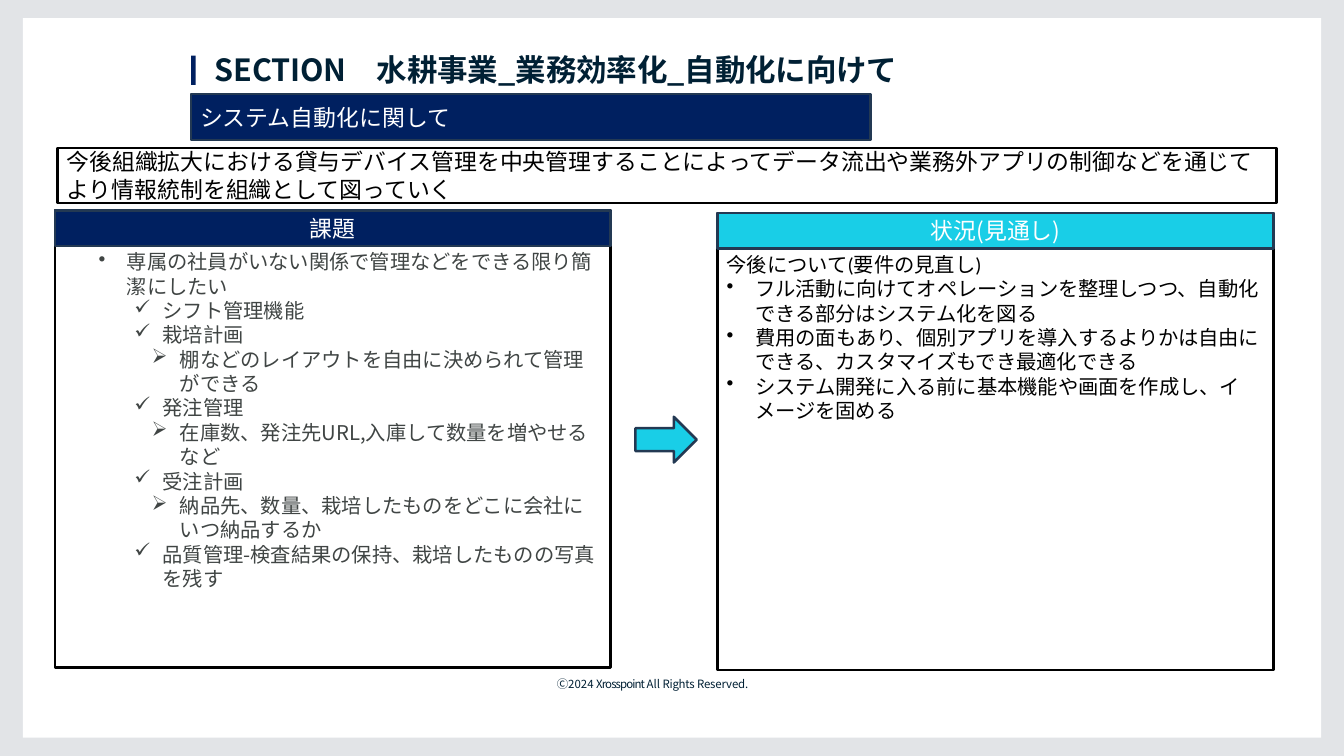
from dataclasses import dataclass
from lxml.etree import SubElement as Sub
from pptx import Presentation
from pptx.dml.color import RGBColor as Rgb
from pptx.enum.shapes import MSO_SHAPE as Form
from pptx.enum.text import MSO_ANCHOR as Anchor, PP_ALIGN as Align
from pptx.oxml.ns import qn
from pptx.util import Inches, Pt

NAVY, CYAN, EDGE, INK = "002060", "19CEE7", "233953", "002034"
BLACK, WHITE, GREY, FRAME = "000000", "FFFFFF", "404544", "E2E4E7"
NOTO, LATIN = "Noto Sans CJK JP", "Calibri"


@dataclass
class Box:
    left: float
    top: float
    width: float
    height: float


@dataclass
class Style:
    size: float
    color: str
    face: str = NOTO
    bold: bool = False


@dataclass
class Item:
    text: str
    mark: str = ""
    indent: float = 0
    level: int = 0


@dataclass
class Panel:
    title: str
    left: float
    top: float
    fill: str


def paint(target, color: str) -> None:
    target.solid()
    target.fore_color.rgb = Rgb.from_string(color)


def style_run(run, style: Style, track: float = 0) -> None:
    font = run.font
    font.size, font.bold, font.name = Pt(style.size), style.bold, style.face
    paint(font.fill, style.color)
    props = run._r.get_or_add_rPr()
    if style.face == NOTO:
        Sub(props, qn("a:ea"), typeface=NOTO)
    if track:
        props.set("spc", str(round(track * 100)))


def add_shape(shapes, box: Box, fill: str = "", line: str = "", form=Form.RECTANGLE):
    shape = shapes.add_shape(form, Inches(box.left), Inches(box.top),
                             Inches(box.width), Inches(box.height))
    shape.shadow.inherit = False
    if fill:
        paint(shape.fill, fill)
    else:
        shape.fill.background()
    if line:
        paint(shape.line.fill, line)
        shape.line.width = Pt(2)
    else:
        shape.line.fill.background()
    return shape


def add_label(shape, text: str, style: Style, align=Align.LEFT) -> None:
    frame = shape.text_frame
    frame.word_wrap, frame.vertical_anchor = True, Anchor.MIDDLE
    frame.text = text
    para = frame.paragraphs[0]
    para.alignment = align
    style_run(para.runs[0], style)


def add_text(shapes, box: Box):
    area = shapes.add_textbox(Inches(box.left), Inches(box.top),
                              Inches(box.width), Inches(box.height))
    area.text_frame.word_wrap = True
    return area.text_frame


def add_line(shapes, box: Box, parts: list[tuple[str, float]], style: Style) -> None:
    """One line of text, each part with its own letter spacing."""
    frame = add_text(shapes, box)
    frame.margin_left = frame.margin_right = frame.margin_bottom = 0
    frame.margin_top = Inches(0.02)
    for text, track in parts:
        run = frame.paragraphs[0].add_run()
        run.text = text
        style_run(run, style, track)


def add_list(shapes, box: Box, items: list[Item], style: Style) -> None:
    frame = add_text(shapes, box)
    frame.text = "\n".join(item.text for item in items)
    for para, item in zip(frame.paragraphs, items):
        para.level = item.level
        if item.mark:
            props = para._p.get_or_add_pPr()
            props.set("marL", str(Inches(item.indent)))
            props.set("indent", str(Inches(-0.31)))
            Sub(props, qn("a:buChar"), char=item.mark)
        style_run(para.runs[0], style)


def add_panel(shapes, panel: Panel) -> None:
    group = shapes.add_group_shape().shapes
    add_shape(group, Box(panel.left, panel.top, 6.08, 5), line=BLACK)
    head = add_shape(group, Box(panel.left, panel.top, 6.08, 0.39), panel.fill, EDGE)
    add_label(head, panel.title, Style(18, WHITE), Align.CENTER)


def goal(text: str) -> Item:
    return Item(text, "•", 0.69, 1)


def task(text: str) -> Item:
    return Item(text, "✓", 1.08, 1)


def note(text: str) -> Item:
    return Item(text, "➢", 1.27, 1)


def plan(text: str) -> Item:
    return Item(text, "•", 0.31)


ISSUES = [
    goal("専属の社員がいない関係で管理などをできる限り簡潔にしたい"),
    task("シフト管理機能"),
    task("栽培計画"),
    note("棚などのレイアウトを自由に決められて管理ができる"),
    task("発注管理"),
    note("在庫数、発注先URL,入庫して数量を増やせるなど"),
    task("受注計画"),
    note("納品先、数量、栽培したものをどこに会社にいつ納品するか"),
    task("品質管理-検査結果の保持、栽培したものの写真を残す"),
]
PLANS = [
    Item("今後について(要件の見直し)"),
    plan("フル活動に向けてオペレーションを整理しつつ、自動化できる部分はシステム化を図る"),
    plan("費用の面もあり、個別アプリを導入するよりかは自由にできる、カスタマイズもでき最適化できる"),
    plan("システム開発に入る前に基本機能や画面を作成し、イメージを固める"),
]
PANELS = [Panel("課題", 0.6, 2.3, NAVY), Panel("状況(見通し)", 7.85, 2.33, CYAN)]
RIGHTS = [("Ⓒ2024 ", 0), ("Xrosspoint ", -0.7), ("All ", 0),
          ("Rights ", -0.2), ("Reserved.", -0.1)]
SUMMARY = ("今後組織拡大における貸与デバイス管理を中央管理することによって"
           "データ流出や業務外アプリの制御などを通じてより情報統制を組織として図っていく")


def main() -> None:
    deck = Presentation()
    deck.slide_width, deck.slide_height = Inches(14.7), Inches(8.27)
    shapes = deck.slides.add_slide(deck.slide_layouts[6]).shapes

    # Page frame and footer
    add_shape(shapes, Box(0, 0, 14.7, 8.27), FRAME)
    add_shape(shapes, Box(0.25, 0.2, 14.2, 7.87), WHITE)
    add_line(shapes, Box(6.09, 7.39, 3.01, 0.17), RIGHTS, Style(9, INK))

    # Title and subtitle
    add_shape(shapes, Box(2.09, 0.61, 0.05, 0.32), NAVY)
    add_line(shapes, Box(2.35, 0.54, 12, 0.42),
             [("SECTION　水耕事業_業務効率化_自動化に向けて", -0.1)],
             Style(24, INK, bold=True))
    banner = add_shape(shapes, Box(2.09, 1.03, 7.43, 0.5), NAVY, EDGE)
    add_label(banner, "システム自動化に関して", Style(18, WHITE))

    # Summary
    summary = add_shape(shapes, Box(0.63, 1.62, 13.33, 0.6), line=BLACK)
    add_label(summary, SUMMARY, Style(18, BLACK, LATIN))

    # Issues, arrow, outlook
    for panel in PANELS:
        add_panel(shapes, panel)
    add_shape(shapes, Box(6.95, 4.56, 0.67, 0.5), CYAN, EDGE, Form.RIGHT_ARROW)
    add_list(shapes, Box(0.6, 2.68, 6.08, 4.58), ISSUES, Style(16, GREY))
    add_list(shapes, Box(7.85, 2.71, 6.08, 3.92), PLANS, Style(16, BLACK, LATIN))

    deck.save("out.pptx")


if __name__ == "__main__":
    main()
